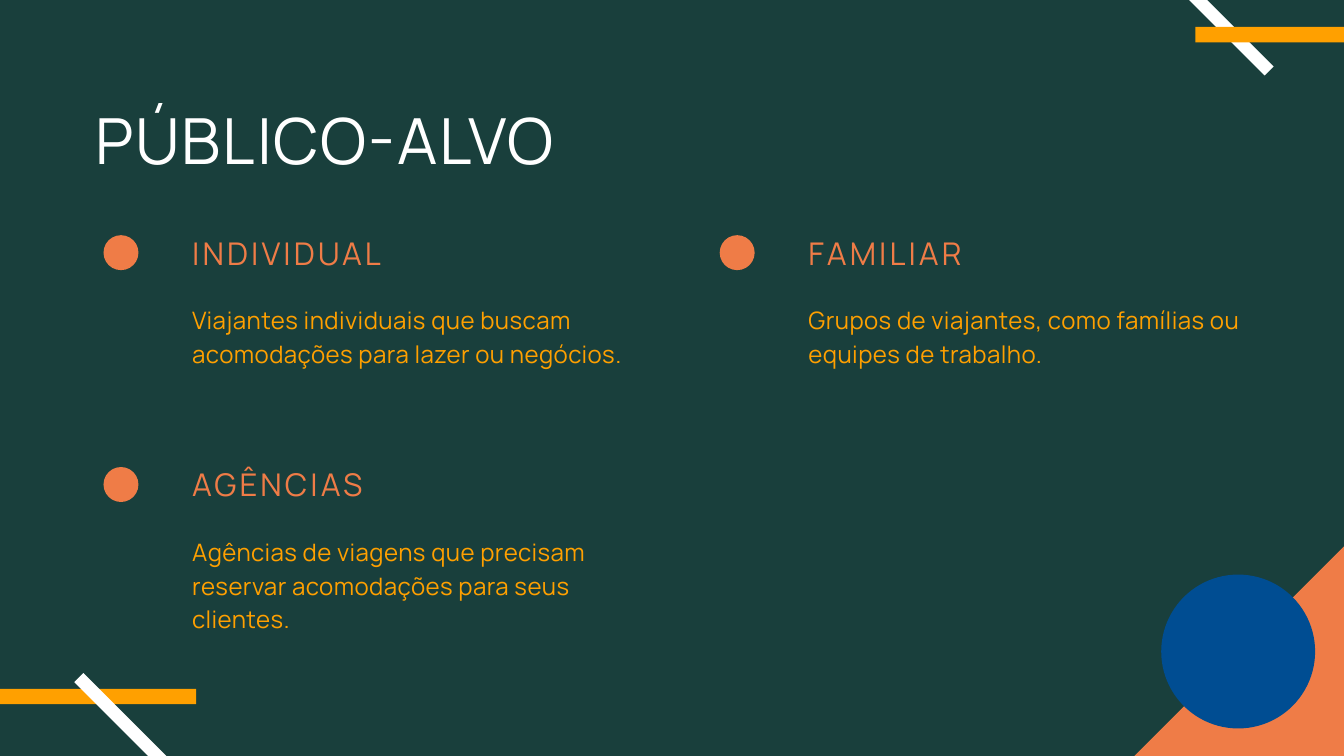
from dataclasses import dataclass

from pptx import Presentation
from pptx.dml.color import RGBColor
from pptx.enum.shapes import MSO_SHAPE
from pptx.enum.text import MSO_AUTO_SIZE
from pptx.util import Inches, Pt


@dataclass(frozen=True)
class TextStyle:
    size: float
    line_height: float
    letter_spacing: float
    color: str


@dataclass(frozen=True)
class Theme:
    font: str = "Manrope"
    background: str = "193F3C"
    white: str = "FFFFFF"
    coral: str = "EF7C47"
    amber: str = "FFA000"
    blue: str = "004D92"
    title: TextStyle = TextStyle(68.1, 102.2, 2.04, "FFFFFF")
    heading: TextStyle = TextStyle(33.5, 40.2, 3.35, "EF7C47")
    body: TextStyle = TextStyle(25.7, 36, 0.51, "FFA000")


theme = Theme()


def paint(shape, color):
    """Give a shape a plain fill, with no outline or shadow."""
    shape.fill.solid()
    shape.fill.fore_color.rgb = RGBColor.from_string(color)
    shape.line.fill.background()
    shape.shadow.inherit = False


def add_text(page, text, left, top, width, height, style):
    box = page.shapes.add_textbox(Inches(left), Inches(top), Inches(width), Inches(height))
    frame = box.text_frame
    frame.word_wrap = True
    frame.auto_size = MSO_AUTO_SIZE.SHAPE_TO_FIT_TEXT
    frame.margin_left = frame.margin_right = frame.margin_top = frame.margin_bottom = 0
    para = frame.paragraphs[0]
    para.line_spacing = Pt(style.line_height)
    span = para.add_run()
    span.text = text
    span.font.name = theme.font
    span.font.size = Pt(style.size)
    span.font.color.rgb = RGBColor.from_string(style.color)
    span.font._element.set("spc", str(round(style.letter_spacing * 100)))


deck = Presentation()
deck.slide_width = Inches(20)
deck.slide_height = Inches(11.25)
page = deck.slides.add_slide(deck.slide_layouts[6])
page.background.fill.solid()
page.background.fill.fore_color.rgb = RGBColor.from_string(theme.background)

add_text(page, "PÚBLICO-ALVO", 1.42, 1.22, 14.8, 1.35, theme.title)

# Corner decoration
outline = page.shapes.build_freeform(Inches(20), Inches(8.13))
outline.add_line_segments([(Inches(20), Inches(11.27)), (Inches(16.86), Inches(11.27))])
paint(outline.convert_to_shape(), theme.coral)
disc = page.shapes.add_shape(
    MSO_SHAPE.OVAL, Inches(17.28), Inches(8.55), Inches(2.29), Inches(2.29))
paint(disc, theme.blue)

# Audience groups on a grid of two columns
left_margin, top_margin = 1.54, 3.48
column_step, row_step = 9.17, 3.45
audiences = [
    (0, 0, 1.44, "INDIVIDUAL",
     "Viajantes individuais que buscam acomodações para lazer ou negócios."),
    (0, 1, 1.44, "AGÊNCIAS",
     "Agências de viagens que precisam reservar acomodações para seus clientes."),
    (1, 0, 0.95, "FAMILIAR",
     "Grupos de viajantes, como famílias ou equipes de trabalho."),
]
for column, row, body_height, heading, description in audiences:
    left = left_margin + column * column_step
    top = top_margin + row * row_step
    bullet = page.shapes.add_shape(
        MSO_SHAPE.OVAL, Inches(left), Inches(top + 0.02), Inches(0.52), Inches(0.52))
    paint(bullet, theme.coral)
    add_text(page, heading, left + 1.32, top, 6.85, 0.56, theme.heading)
    add_text(page, description, left + 1.32, top + 1, 6.85, body_height, theme.body)

# Crossed bars, from back to front
bars = [
    (17.29, 0.3, 1.87, 0.19, 45, theme.white),
    (-1.92, 10.25, 4.84, 0.23, 0, theme.amber),
    (17.79, 0.4, 4.84, 0.23, 0, theme.amber),
    (0.9, 10.65, 1.87, 0.19, 45, theme.white),
]
for left, top, width, height, angle, color in bars:
    bar = page.shapes.add_shape(
        MSO_SHAPE.RECTANGLE, Inches(left), Inches(top), Inches(width), Inches(height))
    bar.rotation = angle
    paint(bar, color)

deck.save("out.pptx")
